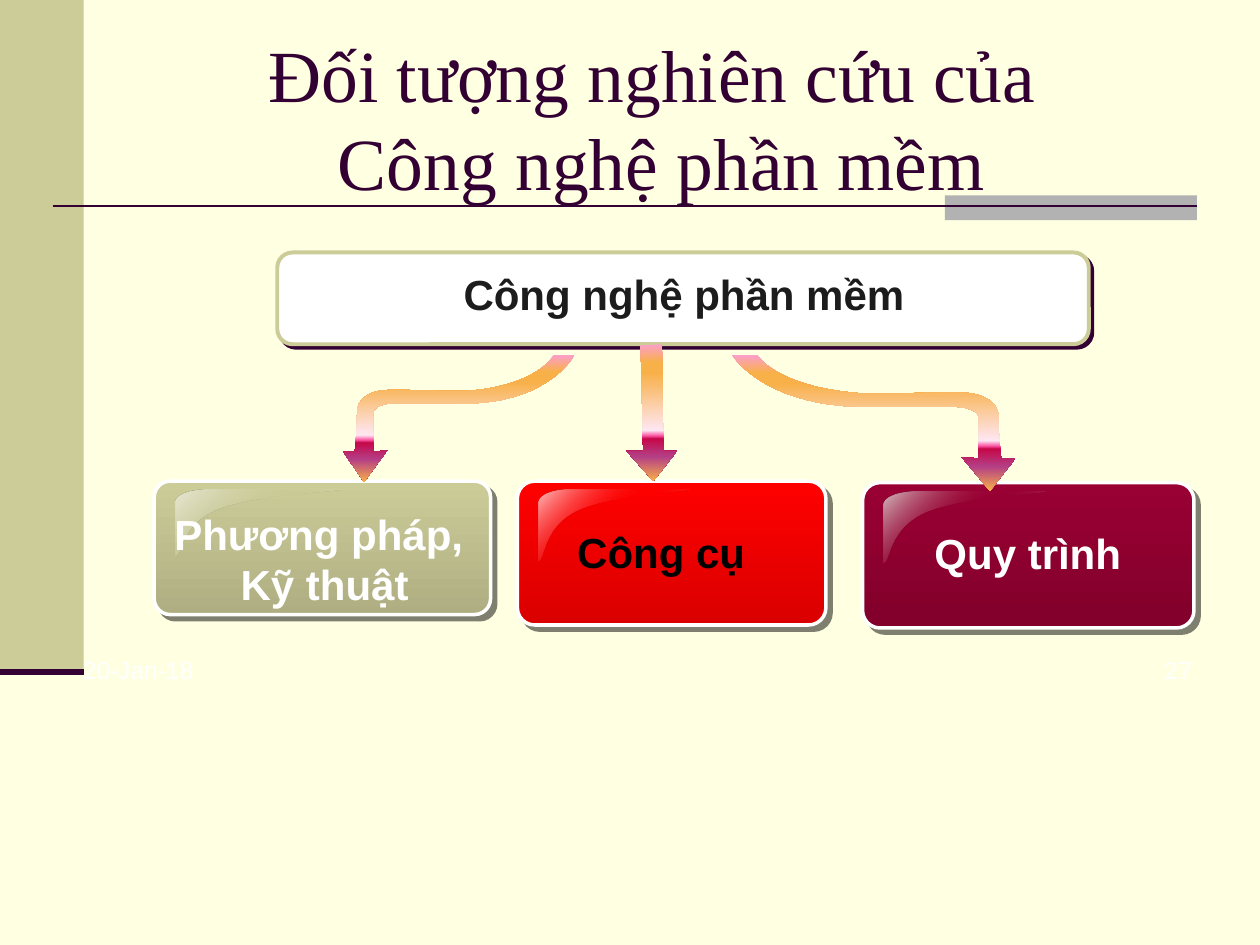
from dataclasses import dataclass

from lxml import etree
from pptx import Presentation
from pptx.dml.color import RGBColor
from pptx.enum.shapes import MSO_CONNECTOR, MSO_SHAPE
from pptx.enum.text import MSO_ANCHOR, MSO_AUTO_SIZE, PP_ALIGN
from pptx.oxml.ns import qn
from pptx.util import Cm, Pt

RECT, ROUND = MSO_SHAPE.RECTANGLE, MSO_SHAPE.ROUNDED_RECTANGLE
LINE = MSO_CONNECTOR.STRAIGHT
LEFT, MID, RIGHT = PP_ALIGN.LEFT, PP_ALIGN.CENTER, PP_ALIGN.RIGHT
MIDDLE = MSO_ANCHOR.MIDDLE
GROW = MSO_AUTO_SIZE.SHAPE_TO_FIT_TEXT

COLORS = {
    "cream": "FFFFE1", "khaki": "CCCC99", "gray": "B2B2B2", "plum": "330033",
    "white": "FFFFFF", "black": "000000", "ink": "1C1C1C",
}
PAGE = "27"

# Gradient stops: position, colour, then optional changes in percent
FLOW = [(0, "FC9FCB", {}), (13, "F8B049", {}), (21, "F8B049", {}),
        (63, "FEE7F2", {}), (67, "F952A0", {}), (69, "C50849", {}),
        (82, "B43E85", {}), (100, "F8B049", {})]

# Outlines in a unit box: two numbers make a line, six make a curve
GLOSS = [(.2, 0), (.09, 0, 0, .08, 0, .19), (0, .98),
         (.05, 1, .02, .51, .27, .28), (.52, .06, 1, .04, .98, 0), (.2, 0)]
BEND = [(0, 0), (0, 0, .12, .41, .52, .38), (.65, .38, .78, .38, .78, .38),
        (.78, .38, .87, .38, .87, .46), (.87, .61, .87, .76, .87, .76),
        (.81, .75), (.91, 1), (1, .76), (.95, .76),
        (.95, .76, .94, .59, .94, .43), (.93, .3, .84, .28, .84, .28),
        (.76, .26, .64, .29, .45, .28), (.15, .23, .09, 0, .09, 0), (0, 0)]
DROP = [(.28, .01), (.33, .78), (0, .78), (.53, 1), (1, .78), (.73, .78),
        (.7, 0), (.28, .01)]


@dataclass
class Box:
    x: float
    y: float
    w: float
    h: float

    def size(self) -> tuple:
        return Cm(self.x), Cm(self.y), Cm(self.w), Cm(self.h)


@dataclass
class Card:
    box: Box
    color: str
    shine: str
    label: Box
    text: str
    ink: str


@dataclass
class Arrow:
    box: Box
    plan: list
    flip: bool = False


CARDS = [
    Card(Box(3.11, 9.7, 6.78, 2.69), "CCCC99", "E8E8D5",
         Box(3.23, 10.12, 6.63, 2.31), "Phương pháp, \nKỹ thuật", "white"),
    Card(Box(10.43, 9.7, 6.22, 2.9), "FF0000", "FFBFBF",
         Box(11.36, 10.49, 3.94, 1.3), "Công cụ", "black"),
    Card(Box(17.39, 9.73, 6.68, 2.93), "990033", "D5BFC1",
         Box(18.56, 10.51, 4.32, 1.3), "Quy trình", "white"),
]
ARROWS = [
    Arrow(Box(14.76, 7.16, 5.71, 2.74), BEND),
    Arrow(Box(12.63, 6.94, 1.02, 2.76), DROP),
    Arrow(Box(6.92, 7.16, 4.66, 2.56), BEND, flip=True),
]


def tint(name: str) -> RGBColor:
    return RGBColor.from_string(COLORS[name])


def add_color(node, color: str, change: dict) -> None:
    clr = etree.SubElement(node, qn("a:srgbClr"), val=color)
    for kind, part in change.items():
        etree.SubElement(clr, qn(f"a:{kind}"), val=str(round(part * 1000)))


def blend(shape, stops: list, angle: int = 90) -> None:
    """Fill a shape with a linear gradient."""
    shape.fill.solid()
    props = shape._element.spPr
    grad = etree.Element(qn("a:gradFill"), rotWithShape="1")
    group = etree.SubElement(grad, qn("a:gsLst"))
    for pos, color, change in stops:
        add_color(etree.SubElement(group, qn("a:gs"), pos=str(pos * 1000)), color, change)
    etree.SubElement(grad, qn("a:lin"), ang=str(angle * 60000), scaled="0")
    props.replace(props.find(qn("a:solidFill")), grad)


def shade(shape, name: str, change: dict, dist: float) -> None:
    """Cast a hard shadow to the lower right."""
    cast = etree.SubElement(shape._element.spPr.find(qn("a:effectLst")),
                            qn("a:outerShdw"), dist=str(Pt(dist)),
                            dir="2700000", algn="ctr", rotWithShape="0")
    add_color(cast, COLORS[name], change)


def add_block(shapes, kind, box: Box, fill: str, edge: str = "", width: float = 0):
    shape = shapes.add_shape(kind, *box.size())
    shape.shadow.inherit = False
    shape.fill.solid()
    shape.fill.fore_color.rgb = tint(fill)
    if edge:
        shape.line.color.rgb = tint(edge)
        shape.line.width = Pt(width)
    else:
        shape.line.fill.background()
    return shape


def add_rule(shapes, x1: float, x2: float, y: float, width: float) -> None:
    rule = shapes.add_connector(LINE, Cm(x1), Cm(y), Cm(x2), Cm(y))
    rule.line.color.rgb = tint("plum")
    rule.line.width = Pt(width)
    etree.SubElement(rule._element.spPr, qn("a:effectLst"))


def add_form(shapes, box: Box, plan: list, stops: list, angle: int = 90,
             flip: bool = False) -> None:
    """Draw a unit outline, with true curves, inside a box."""
    x, y, w, h = box.size()
    pen = shapes.build_freeform(x, y)
    pen.add_line_segments([(x + w, y), (x + w, y + h), (x, y + h)])
    form = pen.convert_to_shape()
    form.shadow.inherit = False
    form.line.fill.background()
    blend(form, stops, angle)
    trail = next(form._element.iter(qn("a:path")))
    for child in list(trail):
        trail.remove(child)
    for i, part in enumerate(plan):
        kind = "cubicBezTo" if len(part) == 6 else "lnTo" if i else "moveTo"
        move = etree.SubElement(trail, qn(f"a:{kind}"))
        for px, py in zip(part[::2], part[1::2]):
            across = 1 - px if flip else px
            etree.SubElement(move, qn("a:pt"), x=str(round(w * across)), y=str(round(h * py)))
    etree.SubElement(trail, qn("a:close"))


def style(frame, face: str, size: float, ink: str, bold: bool = False, align=MID) -> None:
    for para in frame.paragraphs:
        para.alignment = align
        for run in para.runs:
            font = run.font
            font.name, font.size, font.bold = face, Pt(size), bold
            font.color.rgb = tint(ink)


def add_text(shapes, box: Box, text: str, size: float, ink: str, bold: bool = False,
             align=MID, wrap: bool = True):
    frame = shapes.add_textbox(*box.size()).text_frame
    frame.word_wrap = wrap
    if bold:
        frame.auto_size = GROW
    frame.text = text
    style(frame, "Arial", size, ink, bold, align)
    return frame


def main() -> None:
    deck = Presentation()
    deck.slide_width, deck.slide_height = Cm(25.4), Cm(19.05)
    deck.element.set("firstSlideNum", PAGE)
    slide = deck.slides.add_slide(deck.slide_layouts[5])
    shapes = slide.shapes
    slide.background.fill.solid()
    slide.background.fill.fore_color.rgb = tint("cream")

    # Side band and rules
    band = shapes.add_group_shape().shapes
    add_block(band, RECT, Box(0, 0, 1.69, 13.54), "khaki")
    add_block(band, RECT, Box(19.05, 3.94, 5.08, .5), "gray")
    add_rule(band, 1.06, 24.13, 4.15, 1.5)
    add_rule(shapes, 0, 1.69, 13.55, 3.5)

    # Title, in front of the rules
    title = shapes.title
    title.left, title.top, title.width, title.height = Box(2.54, .77, 21.59, 3.18).size()
    title.text_frame.text = "Đối tượng nghiên cứu của \vCông nghệ phần mềm"
    title.text_frame.vertical_anchor = MIDDLE
    style(title.text_frame, "Times New Roman", 42, "plum")
    title._element.getparent().append(title._element)

    # Date, and page number as a field
    add_text(shapes, Box(1.42, 13.08, 5.92, .69), "20-Jan-18", 14, "white", align=LEFT)
    page = add_text(shapes, Box(18.36, 13.08, 5.92, .69), PAGE, 14, "white", align=RIGHT)
    run = page.paragraphs[0].runs[0]._r
    field = etree.Element(qn("a:fld"), type="slidenum",
                          id="{B6F15528-21DE-4FAA-801E-634DDDAF4B2B}")
    run.getparent().replace(run, field)
    field.extend(list(run))

    # Cards with gloss
    for card in CARDS:
        box = card.box
        group = shapes.add_group_shape().shapes
        block = add_block(group, ROUND, box, "white", "white", 2)
        block.adjustments[0] = .12
        blend(block, [(0, card.color, {}), (100, card.color, {"shade": 69.8})])
        shade(block, "black", {"alpha": 50}, 4.2)
        add_form(group, Box(box.x + .42, box.y + .18, box.w / 2, box.h / 2), GLOSS,
                 [(0, card.shine, {}), (50, card.color, {"alpha": 0}),
                  (100, card.shine, {})], 45)

    # Card labels
    for card in CARDS:
        add_text(shapes, card.label, card.text, 24, card.ink, True, wrap=False)

    # Heading box
    head = add_block(shapes, ROUND, Box(5.59, 5.09, 16.36, 1.85), "white", "khaki", 2.25)
    shade(head, "plum", {}, 2.8)
    add_text(shapes, Box(5.84, 5.28, 15.9, 1.3), "Công nghệ phần mềm", 24, "ink", True)

    # Arrows from heading to cards
    for arrow in ARROWS:
        add_form(shapes, arrow.box, arrow.plan, FLOW, flip=arrow.flip)

    deck.save("out.pptx")


if __name__ == "__main__":
    main()
